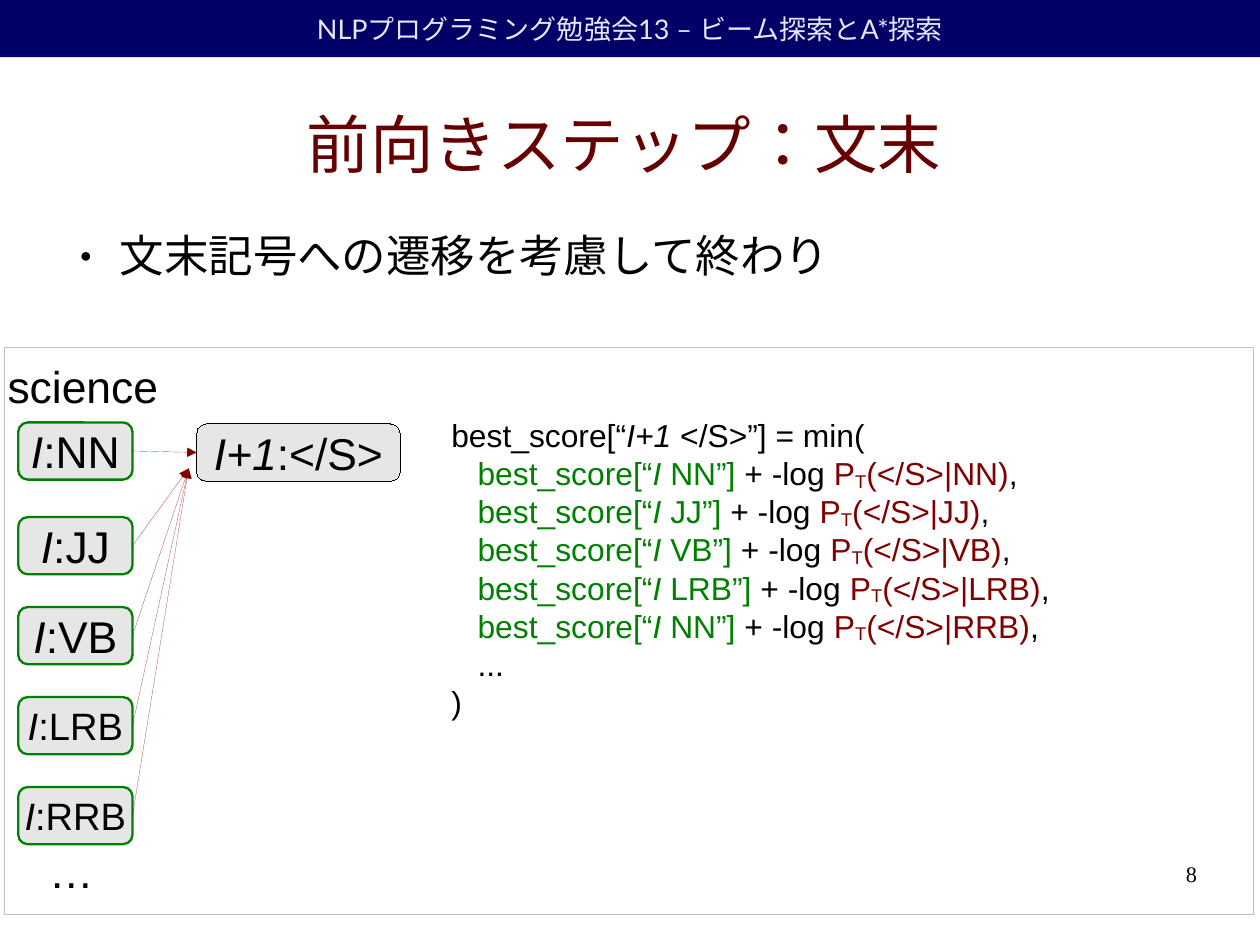
from dataclasses import dataclass

from lxml.etree import SubElement
from pptx import Presentation
from pptx.dml.color import RGBColor
from pptx.enum.lang import MSO_LANGUAGE_ID
from pptx.enum.shapes import MSO_CONNECTOR, MSO_SHAPE
from pptx.enum.text import MSO_ANCHOR, PP_ALIGN
from pptx.oxml.ns import qn
from pptx.util import Cm, Inches, Pt


@dataclass(frozen=True)
class Theme:
    """Colours, fonts and type sizes of the slide."""
    navy: str = "000066"
    pale: str = "E6E6FF"
    maroon: str = "660000"
    red: str = "800000"
    green: str = "008000"
    black: str = "000000"
    node: str = "E6E6E6"
    frame: str = "C0C0C0"
    sans: str = "Arial"
    head_font: str = "Lato"
    number_font: str = "Times New Roman"
    title: int = 40
    body: int = 28
    small_node: int = 24
    code: int = 20
    head: int = 17
    number: int = 14


class Deck:
    """Draws styled elements, placed in percent of the slide's size."""

    def __init__(self, prs, theme):
        self.prs, self.t = prs, theme
        self.s = prs.slides.add_slide(prs.slide_layouts[6])

    def place(self, x, y):
        """Turn percentages into a point on the slide."""
        return int(self.prs.slide_width * x / 100), int(self.prs.slide_height * y / 100)

    def box(self, at):
        """Turn a percentage box into left, top, width and height."""
        return *self.place(*at[:2]), *self.place(*at[2:])

    def runs(self, p, parts, size, font=None, color=None):
        """Add (text, style) runs to a paragraph."""
        for text, style in parts:
            r = p.add_run()
            r.text = text
            r.font.size, r.font.name = Pt(size), font or self.t.sans
            r.font.italic = style.get("italic", False)
            r.font.color.rgb = RGBColor.from_string(style.get("color", color or self.t.black))
            if style.get("japanese"):
                r.font.language_id = MSO_LANGUAGE_ID.JAPANESE
            if style.get("sub"):
                r.font._element.set("baseline", "-8000")

    def stroke(self, line, color, width):
        """Colour a line and write its width, a hairline being zero."""
        line.color.rgb = RGBColor.from_string(color)
        line._get_or_add_ln().set("w", str(int(Pt(width))))

    def text(self, at, lines, size, align=PP_ALIGN.LEFT, anchor=MSO_ANCHOR.TOP,
             font=None, color=None):
        """Add a text box without insets, one paragraph a line."""
        tf = self.s.shapes.add_textbox(*self.box(at)).text_frame
        tf.word_wrap, tf.vertical_anchor = True, anchor
        tf.margin_left = tf.margin_right = tf.margin_top = tf.margin_bottom = 0
        for i, parts in enumerate(lines):
            p = tf.add_paragraph() if i else tf.paragraphs[0]
            p.alignment = align
            self.runs(p, parts, size, font, color)
        return tf

    def bullet(self, p):
        """Give a paragraph a small round bullet with a hanging indent."""
        p.space_after = Pt(14.2)
        pPr = p._p.get_or_add_pPr()
        pPr.set("marL", str(Inches(0.47)))
        pPr.set("indent", str(Inches(-0.35)))
        SubElement(pPr, qn("a:buSzPct")).set("val", "45000")
        SubElement(pPr, qn("a:buFont")).set("typeface", self.t.sans)
        SubElement(pPr, qn("a:buChar")).set("char", "●")

    def shape(self, kind, at, fill=None, line=None, width=0, parts=(), size=28,
              font=None, color=None):
        """Add a preset shape with centred text."""
        sp = self.s.shapes.add_shape(kind, *self.box(at))
        sp.shadow.inherit = False
        if fill:
            sp.fill.solid()
            sp.fill.fore_color.rgb = RGBColor.from_string(fill)
        else:
            sp.fill.background()
        if line:
            self.stroke(sp.line, line, width)
        else:
            sp.line.fill.background()
        tf = sp.text_frame
        tf.word_wrap, tf.vertical_anchor = False, MSO_ANCHOR.MIDDLE
        p = tf.paragraphs[0]
        p.alignment = PP_ALIGN.CENTER
        self.runs(p, parts, size, font, color)
        return sp

    def node(self, at, index, tag, line, width, size):
        """Add a rounded lattice node with an italic index."""
        parts = [(index, {"italic": True}), (f":{tag}", {})]
        return self.shape(MSO_SHAPE.ROUNDED_RECTANGLE, at, self.t.node, line, width, parts, size)

    def arrow(self, source, target=None, tip=(0, 0)):
        """Draw a hairline arrow from a node to another node or a point."""
        end = self.place(*tip)
        c = self.s.shapes.add_connector(MSO_CONNECTOR.STRAIGHT, 0, 0, *end)
        c.begin_connect(source, 3)
        if target is not None:
            c.end_connect(target, 1)
        self.stroke(c.line, self.t.red, 0)
        SubElement(c.line._get_or_add_ln(), qn("a:tailEnd")).set("type", "triangle")
        SubElement(c._element.spPr, qn("a:effectLst"))


def score_line(t, tag, target):
    """Build the runs of one candidate score."""
    green, red = {"color": t.green}, {"color": t.red}
    return [("best_score[“", green), ("I", {**green, "italic": True}), (f" {tag}”]", green),
            (" + -log ", {}), ("P", red), ("T", {**red, "sub": True}),
            (f"(</S>|{target})", red), (",", {})]


def main():
    """Build the slide and save it."""
    prs = Presentation()
    prs.slide_width, prs.slide_height = Cm(28), Cm(21)
    t = Theme()
    d = Deck(prs, t)
    ja = {"japanese": True}

    d.shape(MSO_SHAPE.RECTANGLE, (0, 0, 100, 6.05), t.navy, size=t.head, font=t.head_font,
            color=t.pale, parts=[("NLPプログラミング勉強会13 – ビーム探索とA*探索", ja)])
    d.text((4.54, 7.5, 90, 15.36), [[("前向きステップ：文末", ja)]], t.title,
           PP_ALIGN.CENTER, MSO_ANCHOR.MIDDLE, color=t.maroon)
    body = d.text((5.26, 24.18, 90, 6.77), [[("文末記号への遷移を考慮して終わり", ja)]], t.body)
    d.bullet(body.paragraphs[0])

    tags = ["NN", "JJ", "VB", "LRB", "RRB"]
    tops = [44.7] + [54.72 + 9.52 * i for i in range(len(tags) - 1)]
    nodes = [d.node((1.45, top, 9.07, 6.05), "I", tag, t.green, 1.45,
                    t.body if len(tag) == 2 else t.small_node)
             for tag, top in zip(tags, tops)]
    d.text((3.9, 89.36, 4, 5.2), [[("…", {})]], t.body)
    d.text((0.6, 37.97, 13, 5.2), [[("science", {})]], t.body)

    candidates = zip(["NN", "JJ", "VB", "LRB", "NN"], tags)
    code = [[("best_score[“", {}), ("I+1", {"italic": True}), (" </S>”] = min(", {})],
            *[score_line(t, tag, target) for tag, target in candidates],
            [("...", {})], [(")", {})]]
    tf = d.text((35.82, 44.01, 55, 35.55), code, t.code)
    for p in tf.paragraphs:
        p.line_spacing = Pt(24)
    for p in tf.paragraphs[1:-1]:
        p._p.get_or_add_pPr().set("marL", str(Inches(0.23)))

    end = d.node((15.61, 44.86, 16.15, 6.05), "I+1", "</S>", t.black, 0, t.body)
    d.arrow(nodes[0], end)
    for node in nodes[1:]:
        d.arrow(node, tip=(14.97, 49.58))

    d.shape(MSO_SHAPE.RECTANGLE, (0.36, 36.76, 99.09, 59.98), line=t.frame)
    d.text((71.69, 91.05, 23.32, 6.9), [[("8", {})]], t.number, PP_ALIGN.RIGHT,
           font=t.number_font)
    prs.save("out.pptx")


if __name__ == "__main__":
    main()
